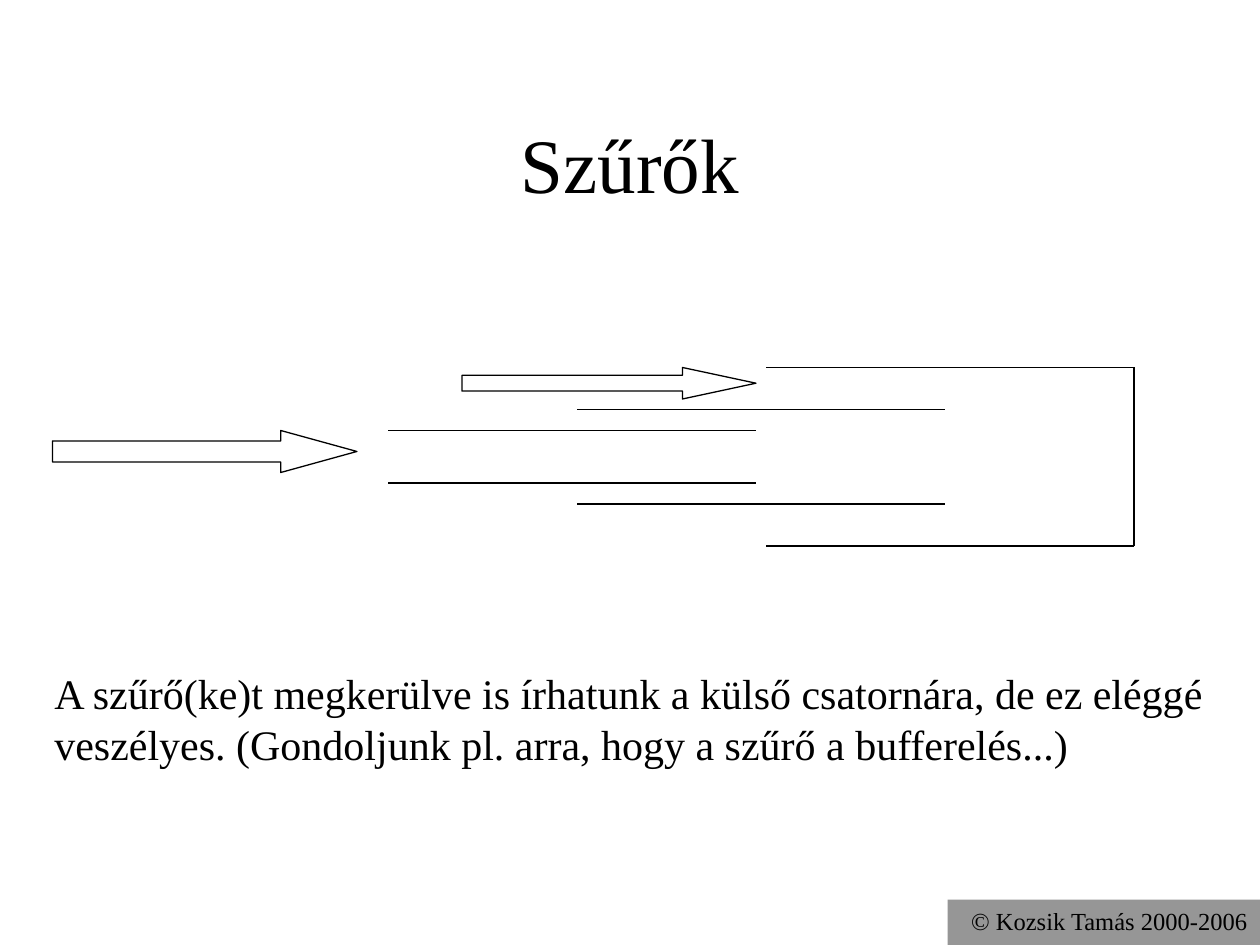
from lxml import etree
from pptx import Presentation
from pptx import util as u
from pptx.dml.color import RGBColor
from pptx.enum import shapes, text
from pptx.oxml.ns import qn

BLACK = RGBColor(0, 0, 0)
GRAY = RGBColor(150, 150, 150)
FONT = "Times New Roman"
UNIT = u.Inches(1) // 12

TITLE = "Szűrők"
NOTE = ("A szűrő(ke)t megkerülve is írhatunk a külső csatornára, de ez eléggé "
        "veszélyes. (Gondoljunk pl. arra, hogy a szűrő a bufferelés...)")
OWNER = "© Kozsik Tamás 2000-2006"

PIPES = [(37, 41, 46), (55, 39, 48), (73, 35, 52)]
LENGTH = 35
ARROWS = [(5, 41, 29, 4), (44, 35, 28, 3)]

prs = Presentation()
prs.slide_width, prs.slide_height = u.Inches(10), u.Inches(7.5)
slide = prs.slides.add_slide(prs.slide_layouts[5])


def write(shape, words, size, align, anchor):
    frame = shape.text_frame
    frame.text = words
    frame.word_wrap = True
    frame.vertical_anchor = anchor
    para = frame.paragraphs[0]
    para.alignment = align
    font = para.runs[0].font
    font.name, font.size, font.color.rgb = FONT, u.Pt(size), BLACK


def stroke(shape):
    shape.line.color.rgb = BLACK
    shape.line.width = u.Pt(0.75)


def line(*ends):
    wire = slide.shapes.add_connector(
        shapes.MSO_CONNECTOR.STRAIGHT, *[n * UNIT for n in ends])
    stroke(wire)
    etree.SubElement(wire._element.spPr, qn("a:effectLst"))


title = slide.shapes.title
title.left, title.top = u.Inches(0.75), u.Inches(0.67)
title.width, title.height = u.Inches(8.5), u.Inches(1.25)
write(title, TITLE, 44, text.PP_ALIGN.CENTER, text.MSO_ANCHOR.MIDDLE)

for left, top, base in PIPES:
    for y in (top, base):
        line(left, y, left + LENGTH, y)
end = left + LENGTH
line(end, top, end, base)

for x, y, wide, high in ARROWS:
    arrow = slide.shapes.add_shape(
        shapes.MSO_SHAPE.RIGHT_ARROW, *[n * UNIT for n in (x, y, wide, high)])
    arrow.adjustments[1] = wide / high / 4
    arrow.shadow.inherit = False
    arrow.fill.background()
    stroke(arrow)

note = slide.shapes.add_textbox(
    4 * UNIT, 63 * UNIT, 113 * UNIT, u.Inches(0.9))
write(note, NOTE, 24, text.PP_ALIGN.LEFT, text.MSO_ANCHOR.TOP)
note.text_frame.auto_size = text.MSO_AUTO_SIZE.SHAPE_TO_FIT_TEXT

wide, high = u.Inches(2.48), u.Inches(0.36)
badge = slide.shapes.add_shape(
    shapes.MSO_SHAPE.RECTANGLE, prs.slide_width - wide,
    prs.slide_height - high, wide, high)
badge.shadow.inherit = False
badge.fill.solid()
badge.fill.fore_color.rgb = GRAY
badge.line.fill.background()
write(badge, OWNER, 14, text.PP_ALIGN.RIGHT, text.MSO_ANCHOR.TOP)

prs.save("out.pptx")
